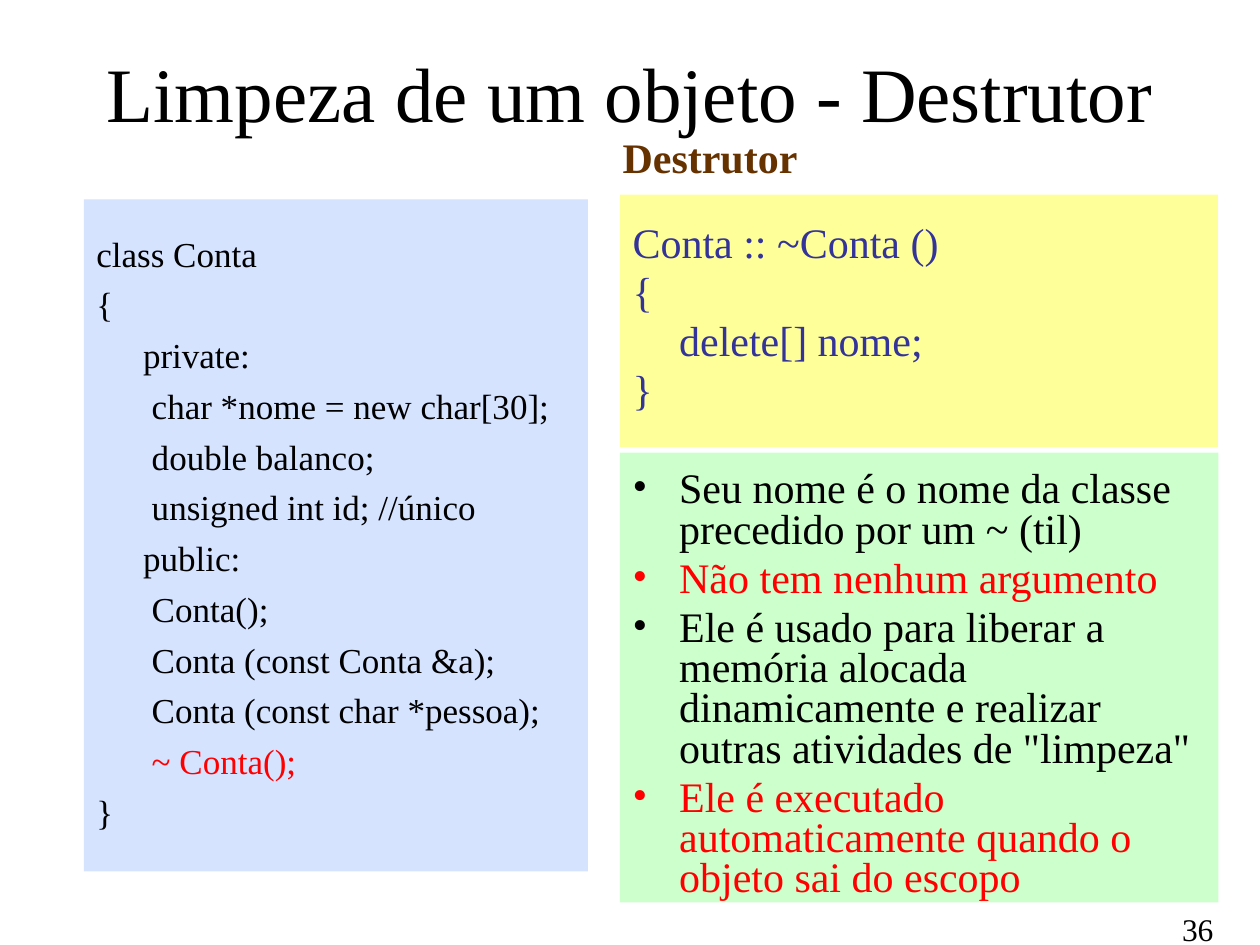
from dataclasses import dataclass

from lxml import etree
from pptx import Presentation
from pptx.dml.color import RGBColor
from pptx.enum.shapes import MSO_SHAPE
from pptx.enum.text import MSO_ANCHOR, MSO_AUTO_SIZE, PP_ALIGN
from pptx.oxml.ns import qn
from pptx.util import Inches, Pt

RECT = MSO_SHAPE.RECTANGLE
TOP, MIDDLE = MSO_ANCHOR.TOP, MSO_ANCHOR.MIDDLE
LEFT, CENTER = PP_ALIGN.LEFT, PP_ALIGN.CENTER
NO_FIT = MSO_AUTO_SIZE.NONE


@dataclass(frozen=True)
class Theme:
    font: str = "Times New Roman"
    black: str = "000000"
    red: str = "FF0000"
    brown: str = "663300"
    indigo: str = "333399"
    blue_panel: str = "D5E3FF"
    yellow_panel: str = "FFFF99"
    green_panel: str = "CCFFCC"
    title: int = 44
    large: int = 24
    code: int = 20
    number: int = 18
    gap: int = 5
    tight: float = 0.8
    hang: float = 0.37


T = Theme()

CLASS_CODE = [
    "class Conta",
    "{",
    "\tprivate:",
    "\t char *nome = new char[30];",
    "\t double balanco;",
    "\t unsigned int id; //único",
    "\tpublic:",
    "\t Conta();",
    "\t Conta (const Conta &a);",
    "\t Conta (const char *pessoa);",
    "\t ~ Conta();",
    "}",
]
DESTRUCTOR_CODE = ["Conta :: ~Conta ()", "{", "\tdelete[] nome;", "}"]
RULES = [
    "Seu nome é o nome da classe precedido por um ~ (til)",
    "Não tem nenhum argumento",
    "Ele é usado para liberar a memória alocada dinamicamente e realizar "
    "outras atividades de \"limpeza\"",
    "Ele é executado automaticamente quando o objeto sai do escopo",
]


def percent_box(prs, left, top, width, height):
    w, h = prs.slide_width, prs.slide_height
    shares = ((left, w), (top, h), (width, w), (height, h))
    return [int(share * side / 100) for share, side in shares]


def place(sp, box):
    sp.left, sp.top, sp.width, sp.height = box


def paint(sp, color):
    sp.fill.solid()
    sp.fill.fore_color.rgb = RGBColor.from_string(color)
    sp.line.fill.background()


def frame(sp, anchor=TOP, inset=0.05, wrap=True):
    tf = sp.text_frame
    tf.auto_size = NO_FIT
    tf.word_wrap = wrap
    tf.vertical_anchor = anchor
    tf.margin_left = tf.margin_right = Inches(0.1)
    tf.margin_top = tf.margin_bottom = Inches(inset)
    return tf


def style(p, size, color, bold=False, align=LEFT):
    p.alignment = align
    for r in p.runs:
        r.font.name = T.font
        r.font.size = Pt(size)
        r.font.bold = bold
        r.font.color.rgb = RGBColor.from_string(color)


def set_hanging(p):
    pPr = p._p.get_or_add_pPr()
    pPr.set("marL", str(Inches(T.hang)))
    pPr.set("indent", str(-Inches(T.hang)))
    return pPr


def set_bullet(pPr, color):
    clr = etree.SubElement(pPr, qn("a:buClr"))
    etree.SubElement(clr, qn("a:srgbClr"), val=color)
    etree.SubElement(pPr, qn("a:buFont"), typeface=T.font)
    etree.SubElement(pPr, qn("a:buChar"), char="•")


def write_lines(tf, lines, colors, size, spacing=1.0, bullets=False):
    tf.text = "\n".join(lines)
    for i, (p, color) in enumerate(zip(tf.paragraphs, colors)):
        pPr = set_hanging(p)
        if bullets:
            set_bullet(pPr, color)
        p.line_spacing = spacing
        p.space_before = Pt(T.gap if i else 0)
        style(p, size, color)


def add_title(s, box, text):
    sp = s.shapes.title
    place(sp, box)
    tf = frame(sp, MIDDLE)
    tf.text = text
    style(tf.paragraphs[0], T.title, T.black, align=CENTER)


def add_label(s, box, text, size, color, bold=False):
    tf = frame(s.shapes.add_textbox(*box), wrap=False)
    tf.text = text
    style(tf.paragraphs[0], size, color, bold)


def add_code_panel(s, box, fill, inset, lines, colors, size, spacing=1.0):
    sp = s.shapes.add_shape(RECT, *box)
    sp.shadow.inherit = False
    paint(sp, fill)
    write_lines(frame(sp, inset=inset), lines, colors, size, spacing)


def add_rules(s, box):
    sp = s.placeholders[1]
    place(sp, box)
    paint(sp, T.green_panel)
    colors = [T.red if i % 2 else T.black for i in range(len(RULES))]
    write_lines(frame(sp, inset=0.15), RULES, colors, T.large, T.tight, True)


def main():
    prs = Presentation()
    prs.slide_width, prs.slide_height = Inches(10), Inches(7.5)
    s = prs.slides.add_slide(prs.slide_layouts[1])

    add_title(s, percent_box(prs, 5, 4.5, 90, 10.4),
              "Limpeza de um objeto - Destrutor")
    class_colors = [T.red if "~" in line else T.black for line in CLASS_CODE]
    add_code_panel(s, percent_box(prs, 6.67, 21.1, 40, 71.1), T.blue_panel,
                   0.26, CLASS_CODE, class_colors, T.code)
    add_label(s, percent_box(prs, 48.43, 13.3, 16, 6.8),
              "Destrutor", T.large, T.brown, True)
    add_code_panel(s, percent_box(prs, 49.22, 20.6, 47.45, 26.7), T.yellow_panel,
                   0.25, DESTRUCTOR_CODE, [T.indigo] * len(DESTRUCTOR_CODE),
                   T.large, T.tight)
    add_rules(s, percent_box(prs, 49.2, 47.9, 47.5, 47.6))
    add_label(s, percent_box(prs, 92.83, 95.6, 23.3, 6.9), "36", T.number, T.black)

    prs.save("out.pptx")


if __name__ == "__main__":
    main()
